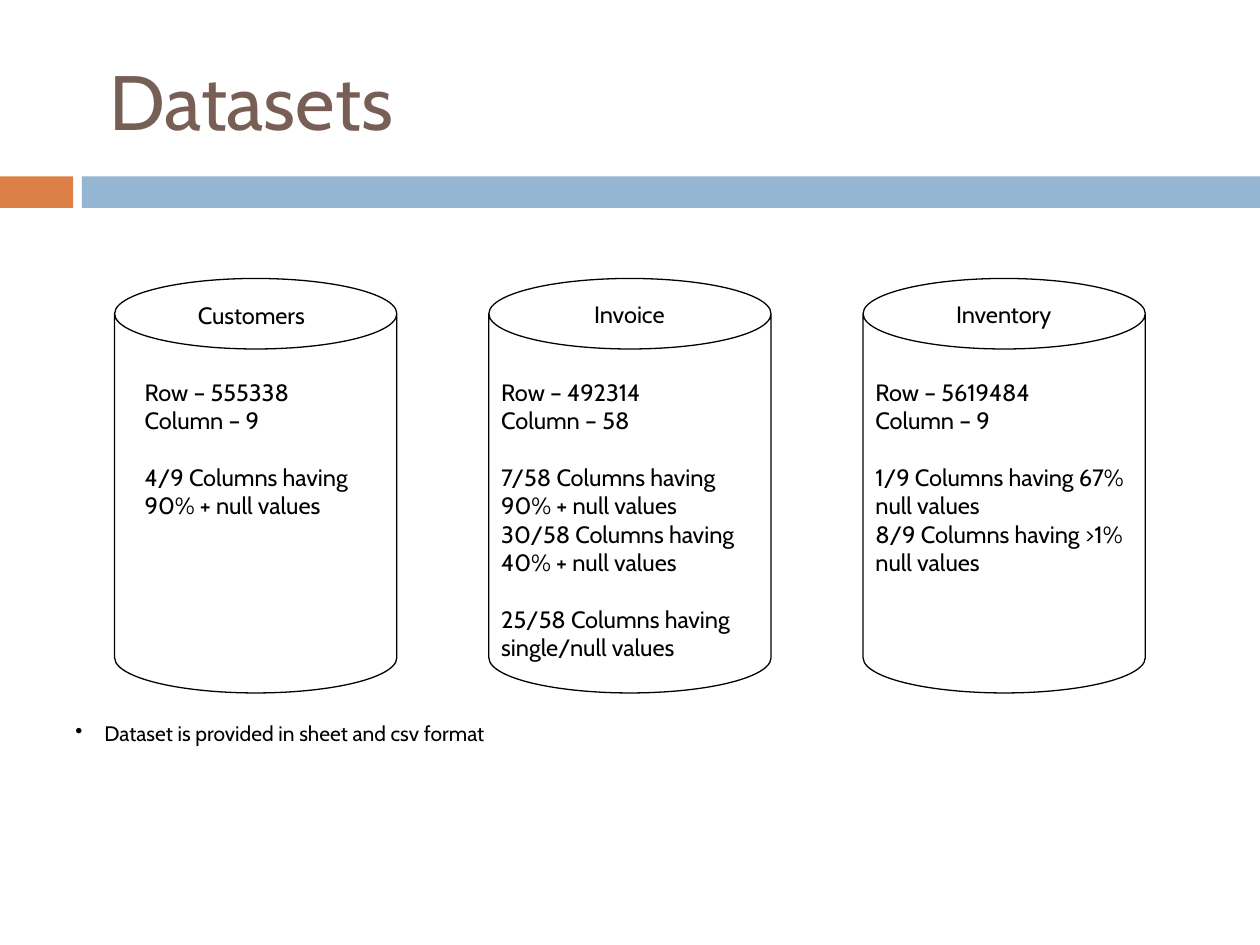
"""Build the Datasets slide: three cylinders with row and column facts."""
import pptx
import pptx.dml.color
import pptx.enum.shapes
import pptx.enum.text
import pptx.oxml.ns
import pptx.util
from lxml import etree

WIDTH, HEIGHT = pptx.util.Inches(10), pptx.util.Inches(7.5)
COLUMNS, ROWS = 100, 75
FONT = "Cabin"
COLORS = {"accent": "DD8047", "band": "94B6D2", "title": "775F55", "ink": "000000"}
SHAPE = pptx.enum.shapes.MSO_SHAPE
ALIGN = pptx.enum.text.PP_ALIGN
ANCHOR = pptx.enum.text.MSO_ANCHOR

CAN_LEFT, CAN_STEP, CAN_WIDTH = 9.1, 29.7, 22.4
BODY_SIZE, GROUP_GAP = 13.5, 16.2
DATASETS = [
    {"name": "Customers", "label": (2.9, 23.4), "inset": 1.4, "width": 20.2, "height": 12.4,
     "groups": [["Row – 555338", "Column – 9"],
                ["4/9 Columns having 90% + null values"]]},
    {"name": "Invoice", "label": (3.2, 23.3), "inset": 0, "width": 22.4, "height": 23.7,
     "groups": [["Row – 492314", "Column – 58"],
                ["7/58 Columns having 90% + null values",
                 "30/58 Columns having 40% + null values"],
                ["25/58 Columns having single/null values"]]},
    {"name": "Inventory", "label": (3.2, 23.3), "inset": 0, "width": 22.4, "height": 16.9,
     "groups": [["Row – 5619484", "Column – 9"],
                ["1/9 Columns having 67% null values",
                 "8/9 Columns having >1% null values"]]},
]


def color(name):
    """Return the named colour."""
    return pptx.dml.color.RGBColor.from_string(COLORS[name])


def place(column, row, columns, rows):
    """Turn grid columns and rows into slide lengths."""
    across, down = WIDTH / COLUMNS, HEIGHT / ROWS
    return [round(length) for length in
            (column * across, row * down, columns * across, rows * down)]


def apply_format(target, values):
    """Set each attribute of the target from a dict."""
    for name, value in values.items():
        setattr(target, name, value)


def add_bar(page, cell, fill):
    """Add a plain filled bar."""
    bar = page.shapes.add_shape(SHAPE.RECTANGLE, *place(*cell))
    bar.shadow.inherit = False
    bar.fill.solid()
    bar.fill.fore_color.rgb = color(fill)
    bar.line.fill.background()


def add_can(page, cell):
    """Add an outlined cylinder."""
    can = page.shapes.add_shape(SHAPE.CAN, *place(*cell))
    can.shadow.inherit = False
    can.fill.background()
    can.line.color.rgb = color("ink")
    can.line.width = pptx.util.Pt(0.75)


def add_bullet(para):
    """Give a paragraph a hanging round bullet."""
    properties = para._p.get_or_add_pPr()
    indent = pptx.util.Inches(0.23)
    properties.set("marL", str(indent))
    properties.set("indent", str(-indent))
    bullet = etree.SubElement(properties, pptx.oxml.ns.qn("a:buChar"))
    bullet.set("char", "•")


def add_text(page, cell, groups, size=BODY_SIZE, ink="ink", align=ALIGN.LEFT,
             anchor=ANCHOR.TOP, bulleted=False):
    """Add a text box whose groups of lines are set apart by a gap."""
    box = page.shapes.add_textbox(*place(*cell))
    frame = box.text_frame
    apply_format(frame, {"word_wrap": True, "vertical_anchor": anchor})
    lines = [(text, group > 0 and line == 0)
             for group, texts in enumerate(groups) for line, text in enumerate(texts)]
    for number, (text, gap) in enumerate(lines):
        para = frame.add_paragraph() if number else frame.paragraphs[0]
        if bulleted:
            add_bullet(para)
        para.alignment = align
        if gap:
            para.space_before = pptx.util.Pt(GROUP_GAP)
        span = para.add_run()
        span.text = text
        apply_format(span.font, {"name": FONT, "size": pptx.util.Pt(size)})
        span.font.color.rgb = color(ink)


def add_dataset(page, left, dataset):
    """Add one cylinder with its name and facts."""
    add_can(page, (left, 22.1, CAN_WIDTH, 32.9))
    shift, top = dataset["label"]
    add_text(page, (left + shift, top, 15.9, 3.3), [[dataset["name"]]], align=ALIGN.CENTER)
    add_text(page, (left + dataset["inset"], 29.5, dataset["width"], dataset["height"]),
             dataset["groups"])


def main():
    """Build and save the deck."""
    deck = pptx.Presentation()
    apply_format(deck, {"slide_width": WIDTH, "slide_height": HEIGHT})
    page = deck.slides.add_slide(deck.slide_layouts[6])
    add_bar(page, (0, 14, 5.8, 2.5), "accent")
    add_bar(page, (6.5, 14, 93.5, 2.5), "band")
    for number, dataset in enumerate(DATASETS):
        add_dataset(page, CAN_LEFT + number * CAN_STEP, dataset)
    add_text(page, (5, 56.7, 89.8, 5), [["Dataset is provided in sheet and csv format"]],
             size=12, bulleted=True)
    add_text(page, (7.7, 2.5, 88.2, 10.8), [["Datasets"]], size=44, ink="title",
             anchor=ANCHOR.MIDDLE)
    deck.save("out.pptx")


if __name__ == "__main__":
    main()
